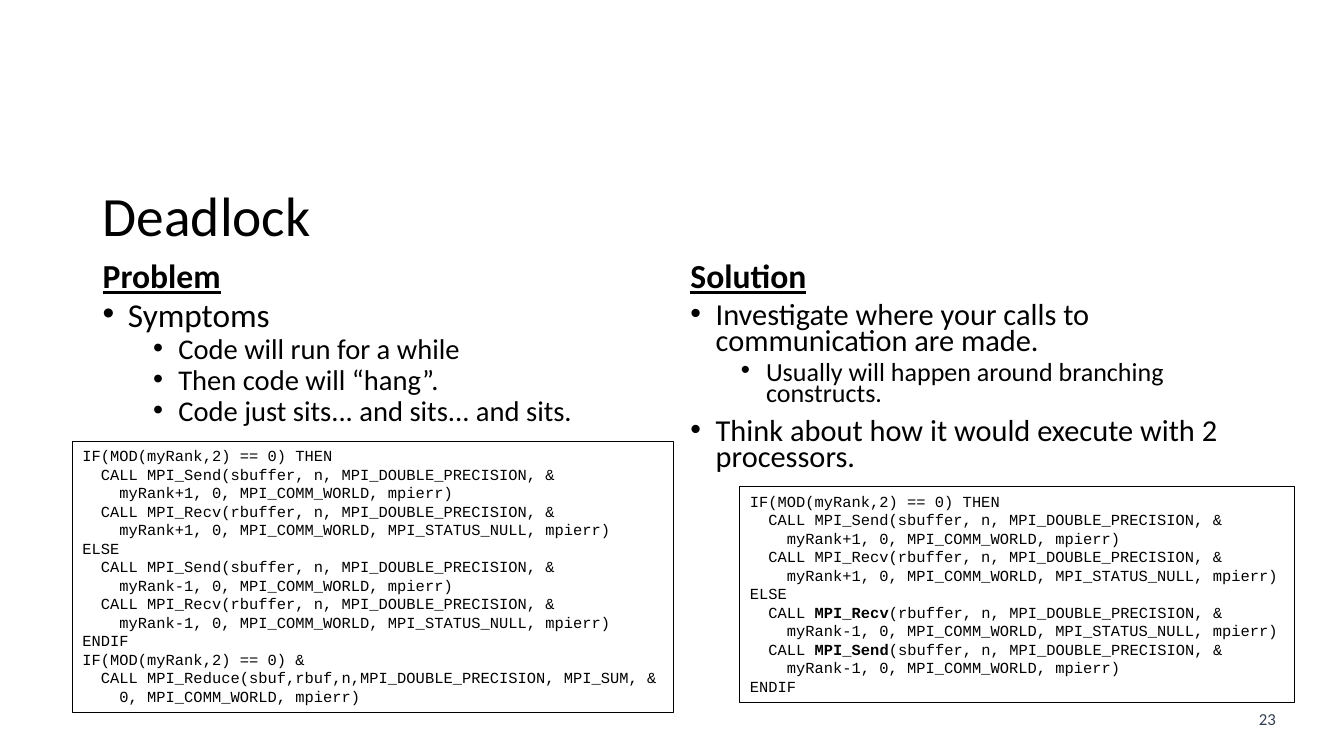
from lxml import etree
from pptx import Presentation
from pptx.dml.color import RGBColor
from pptx.enum import shapes, text
from pptx.oxml import ns
from pptx.util import Pt

BLACK, WHITE, SLATE = "000000", "FFFFFF", "333F50"


def color(value):
    return RGBColor.from_string(value)


def add_words(paragraph, words, size, font="Calibri", ink=BLACK, bold=False, underline=False):
    run = paragraph.add_run()
    run.text = words
    run.font.size = Pt(size)
    run.font.name = font
    run.font.bold = bold
    run.font.underline = underline
    run.font.color.rgb = color(ink)


def place(holder, box, anchor):
    holder.left, holder.top, holder.width, holder.height = map(Pt, box)
    frame = holder.text_frame
    frame.word_wrap = True
    frame.auto_size = text.MSO_AUTO_SIZE.NONE
    frame.vertical_anchor = anchor
    return frame


def space(paragraph, line, before):
    paragraph.alignment = text.PP_ALIGN.LEFT
    paragraph.line_spacing = line
    paragraph.space_before = Pt(before)
    paragraph.space_after = Pt(0)


def set_bullet(paragraph, level):
    paragraph.level = level
    properties = paragraph._p.get_or_add_pPr()
    properties.set("marL", str(Pt(18 + 36 * level)))
    properties.set("indent", str(-Pt(18)))
    etree.SubElement(properties, ns.qn("a:buFont")).set("typeface", "Arial")
    etree.SubElement(properties, ns.qn("a:buChar")).set("char", "•")


def fill_title(holder, box, words):
    paragraph = place(holder, box, text.MSO_ANCHOR.MIDDLE).paragraphs[0]
    space(paragraph, 0.9, 0)
    add_words(paragraph, words, 39.6)


def fill_column(heading_holder, list_holder, box, heading, points, sizes):
    left, top, width, height = box
    heading_height = 32.4
    paragraph = place(heading_holder, (left, top, width, heading_height),
                      text.MSO_ANCHOR.BOTTOM).paragraphs[0]
    space(paragraph, 0.8, 10)
    add_words(paragraph, heading, 24, bold=True, underline=True)

    frame = place(list_holder, (left, top + heading_height, width, height - heading_height),
                  text.MSO_ANCHOR.TOP)
    for index, (level, words) in enumerate(points):
        paragraph = frame.add_paragraph() if index else frame.paragraphs[0]
        space(paragraph, 0.7, (10, 5)[level])
        set_bullet(paragraph, level)
        add_words(paragraph, words, sizes[level])


def add_code(slide, box, lines):
    listing = slide.shapes.add_shape(shapes.MSO_SHAPE.RECTANGLE, *map(Pt, box))
    listing.shadow.inherit = False
    listing.fill.solid()
    listing.fill.fore_color.rgb = color(WHITE)
    listing.line.color.rgb = color(BLACK)
    listing.line.width = Pt(0.75)
    frame = listing.text_frame
    frame.word_wrap = False
    frame.auto_size = text.MSO_AUTO_SIZE.SHAPE_TO_FIT_TEXT
    frame.vertical_anchor = text.MSO_ANCHOR.TOP
    for index, line in enumerate(lines):
        paragraph = frame.add_paragraph() if index else frame.paragraphs[0]
        paragraph.alignment = text.PP_ALIGN.LEFT
        for part, words in enumerate(line.split("*")):
            add_words(paragraph, words, 11, "Courier New", bold=part % 2 == 1)


def add_page_number(slide, box, number):
    frame = place(slide.shapes.add_textbox(0, 0, 0, 0), box, text.MSO_ANCHOR.TOP)
    paragraph = frame.paragraphs[0]
    paragraph.alignment = text.PP_ALIGN.CENTER
    add_words(paragraph, number, 12, ink=SLATE)


def send(partner, mark=""):
    return [f"  CALL {mark}MPI_Send{mark}(sbuffer, n, MPI_DOUBLE_PRECISION, &",
            f"    myRank{partner}, 0, MPI_COMM_WORLD, mpierr)"]


def receive(partner, mark=""):
    return [f"  CALL {mark}MPI_Recv{mark}(rbuffer, n, MPI_DOUBLE_PRECISION, &",
            f"    myRank{partner}, 0, MPI_COMM_WORLD, MPI_STATUS_NULL, mpierr)"]


def build_deadlock(deck):
    slide = deck.slides.add_slide(deck.slide_layouts[4])
    title, problem, symptoms, solution, advice = [
        holder for holder in slide.placeholders if holder.placeholder_format.idx < 5]

    fill_title(title, (66.2, 131, 828, 50.4), "Deadlock")
    fill_column(problem, symptoms, (66.2, 182.2, 406, 133.2), "Problem", [
        (0, "Symptoms"),
        (1, "Code will run for a while"),
        (1, "Then code will “hang”."),
        (1, "Code just sits... and sits... and sits."),
    ], (23.8, 20.4))
    fill_column(solution, advice, (486, 182.2, 408, 165.6), "Solution", [
        (0, "Investigate where your calls to communication are made."),
        (1, "Usually will happen around branching constructs."),
        (0, "Think about how it would execute with 2 processors."),
    ], (21.7, 18.6))

    even_ranks = ["IF(MOD(myRank,2) == 0) THEN", *send("+1"), *receive("+1"), "ELSE"]
    add_code(slide, (51.8, 315.4, 429.1, 193.7), [
        *even_ranks, *send("-1"), *receive("-1"), "ENDIF",
        "IF(MOD(myRank,2) == 0) &",
        "  CALL MPI_Reduce(sbuf,rbuf,n,MPI_DOUBLE_PRECISION, MPI_SUM, &",
        "    0, MPI_COMM_WORLD, mpierr)",
    ])
    add_code(slide, (528.5, 347.8, 396, 154.1), [
        *even_ranks, *receive("-1", "*"), *send("-1", "*"), "ENDIF",
    ])
    add_page_number(slide, (888.5, 502.6, 33.8, 21.6), "23")


def main():
    deck = Presentation()
    deck.slide_width, deck.slide_height = Pt(960), Pt(540)
    build_deadlock(deck)
    deck.save("out.pptx")


if __name__ == "__main__":
    main()
